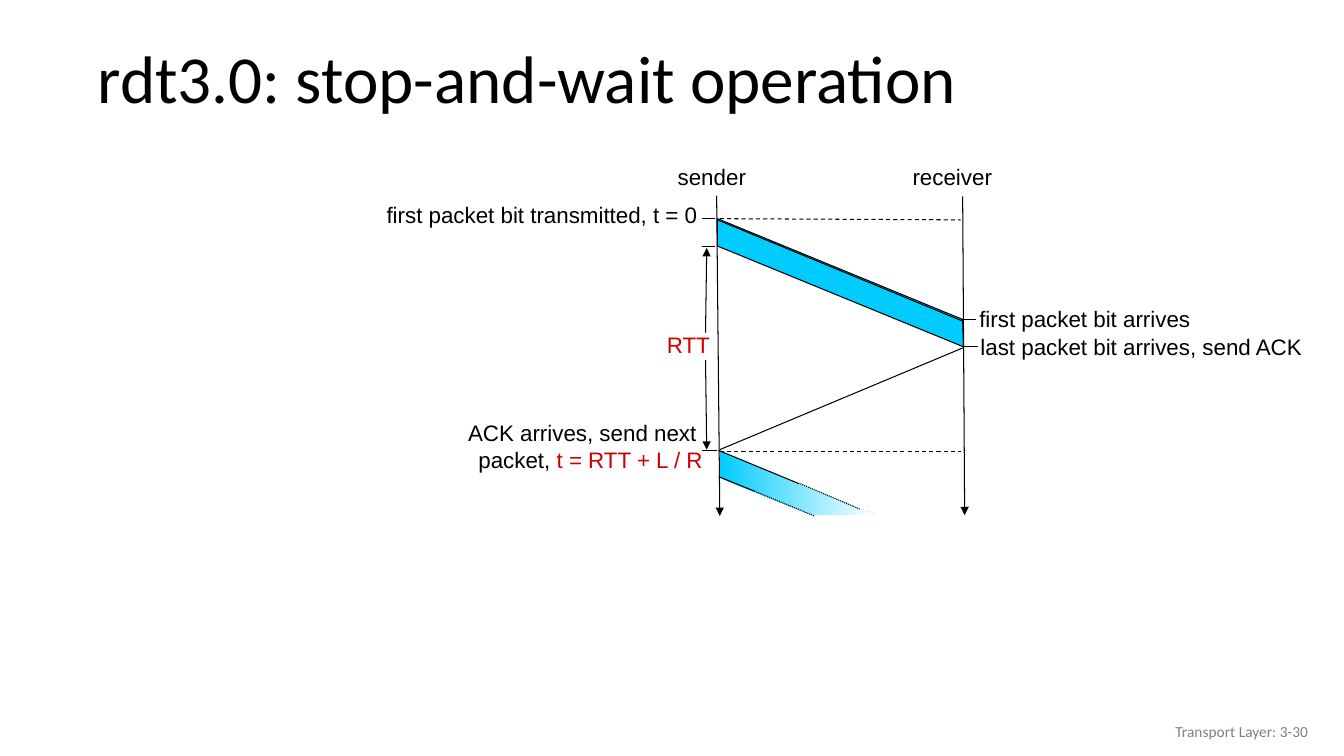
from dataclasses import dataclass

from lxml import etree
from pptx import Presentation
from pptx import util as u
from pptx.dml.color import RGBColor
from pptx.enum import dml, shapes, text
from pptx.oxml import ns


@dataclass(frozen=True)
class Theme:
    ink = RGBColor(0x00, 0x00, 0x00)
    paper = RGBColor(0xFF, 0xFF, 0xFF)
    accent = RGBColor(0xCC, 0x00, 0x00)
    packet = RGBColor(0x00, 0xCC, 0xFF)
    muted = RGBColor(0x80, 0x80, 0x80)
    heading_font = "Calibri"
    label_font = "Arial"
    title_size = 48
    label_size = 16
    footer_size = 11
    line_width = 0.75


theme = Theme()
LEFT, RIGHT = text.PP_ALIGN.LEFT, text.PP_ALIGN.RIGHT
TOP, MIDDLE = text.MSO_ANCHOR.TOP, text.MSO_ANCHOR.MIDDLE
DASH, DOT = dml.MSO_LINE.DASH, dml.MSO_LINE.ROUND_DOT

presentation = Presentation()
presentation.slide_width = u.Cm(33.87)
presentation.slide_height = u.Cm(19.05)
slide = presentation.slides.add_slide(presentation.slide_layouts[6])


def add_text(lines, box, font=theme.label_font, size=theme.label_size,
             color=theme.ink, align=LEFT, anchor=TOP, spacing=1.0):
    """Each line is a list of (words, color) runs; color None means the default."""
    shape = slide.shapes.add_textbox(*map(u.Cm, box))
    frame = shape.text_frame
    frame.word_wrap = True
    frame.vertical_anchor = anchor
    for index, runs in enumerate(lines):
        paragraph = frame.add_paragraph() if index else frame.paragraphs[0]
        paragraph.alignment = align
        paragraph.line_spacing = spacing
        for words, run_color in runs:
            run = paragraph.add_run()
            run.text = words
            run.font.name = font
            run.font.size = u.Pt(size)
            run.font.color.rgb = run_color or color


def add_band(points):
    corners = [(u.Cm(x), u.Cm(y)) for x, y in points]
    builder = slide.shapes.build_freeform(*corners[0])
    builder.add_line_segments(corners[1:], close=True)
    shape = builder.convert_to_shape()
    shape.shadow.inherit = False
    return shape


# Title and footer
add_text([[("rdt3.0: stop-and-wait operation", None)]], (2.21, 0.81, 30.84, 2.49),
         font=theme.heading_font, size=theme.title_size, anchor=MIDDLE, spacing=0.9)
add_text([[("Transport Layer: 3-30", None)]], (25.6, 17.91, 7.62, 1.02),
         font=theme.heading_font, size=theme.footer_size, color=theme.muted,
         align=RIGHT, anchor=MIDDLE)

# Diagram labels
labels = [
    ([[("sender", None)]], (16.59, 3.99, 2.46, 0.97), RIGHT),
    ([[("receiver", None)]], (22.63, 3.99, 2.62, 0.97), RIGHT),
    ([[("first packet bit transmitted, t = 0", None)]], (8.86, 4.95, 8.97, 0.99), RIGHT),
    ([[("RTT", theme.accent)]], (15.88, 8.23, 2.26, 0.94), RIGHT),
    ([[("first packet bit arrives", None)]], (24.43, 7.57, 6.73, 0.99), LEFT),
    ([[("last packet bit arrives, send ACK", None)]], (24.46, 8.28, 8.66, 1.57), LEFT),
    ([[("ACK arrives, send next ", None)],
      [("packet, ", None), ("t = RTT + L / R", theme.accent)]],
     (10.49, 10.44, 7.47, 1.75), RIGHT),
]
for lines, box, align in labels:
    add_text(lines, box, align=align)

# First packet, and the next one fading out
first_packet = add_band([(18.08, 5.51), (24.26, 8.05), (24.28, 8.74), (18.08, 6.2)])
first_packet.fill.solid()
first_packet.fill.fore_color.rgb = theme.packet
first_packet.line.color.rgb = theme.ink
first_packet.line.width = u.Pt(theme.line_width)

next_packet = add_band([(18.14, 11.38), (22.07, 12.98), (20.47, 12.98), (18.14, 12.04)])
next_packet.fill.gradient()
next_packet.fill.gradient_angle = 0
for stop, color in zip(next_packet.fill.gradient_stops, (theme.packet, theme.paper)):
    stop.color.rgb = color
next_packet.line.fill.background()

# Lines: start, end, dash style, arrowhead at the end
connectors = [
    # time axes
    ((18.06, 4.93), (18.14, 13.0), None, True),
    ((24.26, 4.95), (24.31, 12.98), None, True),
    # time levels
    ((18.14, 5.51), (24.21, 5.54), DASH, False),
    ((18.14, 11.38), (24.23, 11.38), DASH, False),
    # packet front and returning ACK
    ((18.08, 5.54), (24.28, 8.1), None, False),
    ((18.14, 11.33), (24.28, 8.76), None, False),
    # sender ticks
    ((18.03, 5.51), (17.68, 5.51), None, False),
    ((18.03, 6.2), (17.68, 6.2), None, False),
    ((18.08, 11.35), (17.7, 11.35), None, False),
    # receiver ticks
    ((24.59, 8.05), (24.21, 8.05), None, False),
    ((24.28, 8.74), (24.64, 8.74), None, False),
    # round trip span
    ((17.78, 9.07), (17.81, 11.33), None, True),
    ((17.78, 8.38), (17.81, 6.25), None, True),
    # edges of the next packet
    ((18.11, 11.35), (20.14, 12.19), None, False),
    ((20.17, 12.19), (21.67, 12.83), DOT, False),
    ((18.11, 12.01), (19.0, 12.37), None, False),
    ((19.0, 12.37), (20.52, 13.0), DOT, False),
]
for start, end, dash, arrow in connectors:
    connector = slide.shapes.add_connector(
        shapes.MSO_CONNECTOR.STRAIGHT, *map(u.Cm, start + end))
    connector.line.color.rgb = theme.ink
    connector.line.width = u.Pt(theme.line_width)
    if dash:
        connector.line.dash_style = dash
    if arrow:
        outline = connector.line._get_or_add_ln()
        etree.SubElement(outline, ns.qn("a:tailEnd"), type="triangle")
    etree.SubElement(connector._element.spPr, ns.qn("a:effectLst"))

presentation.save("out.pptx")
